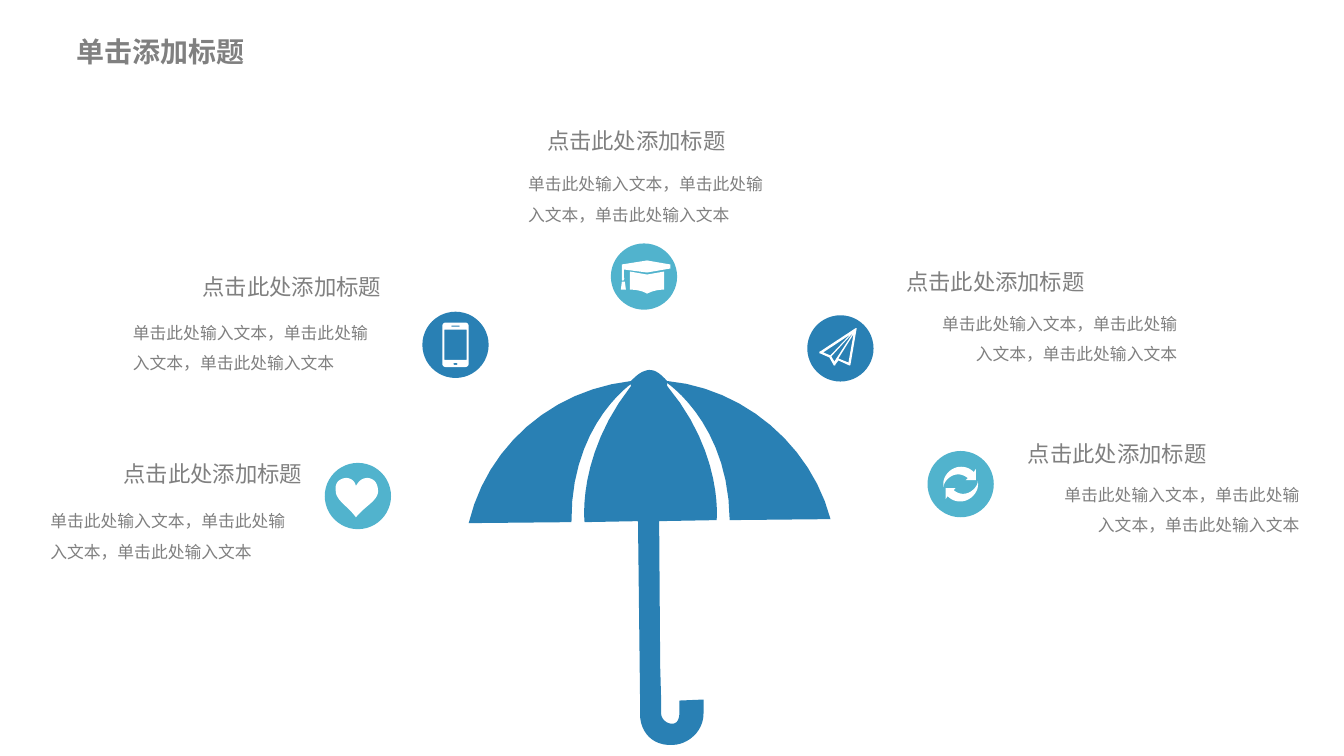
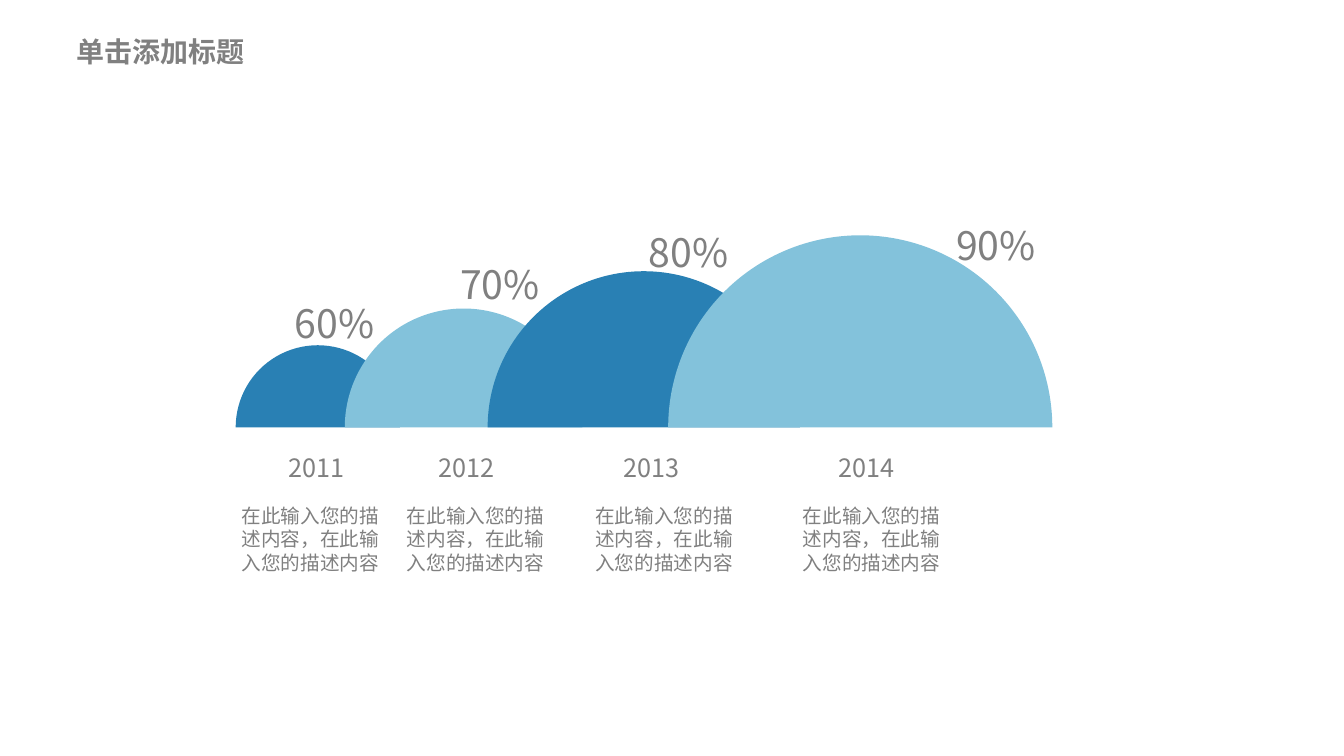
from dataclasses import dataclass

from lxml.etree import SubElement
from pptx import Presentation
from pptx.dml.color import RGBColor
from pptx.enum.shapes import MSO_SHAPE as Preset
from pptx.enum.text import MSO_AUTO_SIZE as AutoSize, PP_ALIGN as Align
from pptx.oxml.ns import qn
from pptx.shapes.autoshape import Shape
from pptx.slide import Slide
from pptx.util import Cm, Pt

# Shared look
COLORS = {"blue": "2980B4", "teal": "51B3CD", "sky": "83C2DB",
          "white": "FFFFFF", "gray": "808080"}
FONT = "Noto Sans CJK SC"
TITLE = "单击添加标题"
HEADING = "点击此处添加标题"
BODY = "单击此处输入文本，单击此处输入文本，单击此处输入文本"
NOTE = "在此输入您的描述内容，在此输入您的描述内容"

FONTS = {
    "title": {"size": Pt(20), "bold": True},
    "heading": {"size": Pt(16)},
    "body": {"size": Pt(12)},
    "year": {"size": Pt(18)},
    "percent": {"size": Pt(28)},
    "note": {"size": Pt(14)},
}
PARAGRAPHS = {
    "title": {"alignment": Align.LEFT},
    "heading": {"alignment": Align.RIGHT},
    "body": {"line_spacing": 1.5},
    "year": {"alignment": Align.CENTER},
    "percent": {"alignment": Align.CENTER},
    "note": {"alignment": Align.CENTER},
}
# Width and height in cm
BOXES = {"title": (8.38, 1.17), "heading": (5.03, 0.99), "body": (6.81, 1.78),
         "year": (2.44, 1.07), "percent": (2.54, 1.52), "note": (4.11, 2.08)}
UNWRAPPED = {"heading", "percent"}

# Outlines: M move, L line, C curve, Z close, in steps of GRID cm
GRID = 0.0254
CURVE_STEPS = 12
ICON_SIZE = 1.67
BASELINE = 10.77
HALF_TURN = 108  # 180 degrees in adjustment units

UMBRELLA = """
M 724 516 L 824 515 C 805 442 738 385 662 378 C 657 373 652 367 644 367
C 636 368 631 373 626 378 C 547 387 483 443 465 519 L 567 518
C 566 431 615 389 626 381 L 626 383 C 572 452 580 518 580 518 L 633 517
L 635 690 L 635 708 C 635 727 648 740 667 739 C 682 739 698 726 698 708
L 698 694 L 674 695 L 674 708 C 674 713 672 718 667 718
C 661 718 656 713 656 708 L 656 695 L 655 661 L 654 517 L 711 516
C 711 516 718 450 662 383 L 662 380 C 673 388 723 429 724 516 Z"""
HEART = """
M -2 -10 C -3 -15 -7 -18 -12 -18 C -20 -17 -23 -12 -22 -5
C -22 4 -10 10 -2 21 C 7 10 19 5 20 -4 C 20 -12 17 -17 10 -18
C 4 -18 1 -15 -2 -10 Z"""
REFRESH_ARROW = """
M 13 -12 C 6 -19 -5 -19 -12 -12 C -16 -8 -18 -3 -17 3
C -17 0 -15 -3 -13 -5 C -7 -11 1 -11 7 -6 L 5 -4 L 15 -4 L 15 -15 Z"""
GRADUATION_CAP = """
M 26 -12 L 3 -16 L -22 -12 L -22 1 C -22 3 -22 4 -21 4 C -20 4 -19 2 -20 1
L -20 -7 L 3 -4 L 26 -8 Z
M -19 5 L -22 5 L -23 13 L -18 13 Z
M -14 13 L -14 -5 L 3 -2 L 20 -5 L 20 13 C 14 13 9 14 3 17
C -2 14 -8 13 -14 13 Z"""
PHONE = """
M 10 -22 L -10 -22 C -11 -22 -13 -21 -13 -19 L -13 19 C -13 21 -11 22 -10 22
L 10 22 C 11 22 13 21 13 19 L 13 -19 C 13 -21 11 -22 10 -22 Z
M -4 -19 L 4 -19 L 4 -18 L -4 -18 Z
M 11 15 L -11 15 L -11 -15 L 11 -15 Z
M 0 20 C -1 20 -2 20 -2 19 C -2 18 -1 18 0 18 C 1 18 2 18 2 19
C 2 20 1 20 0 20 Z"""
PAPER_PLANE = """
M 16 -20 L 15 -20 L -20 3 C -21 3 -21 4 -21 4 C -21 5 -21 5 -20 5 L -11 9
L -7 16 C -7 17 -6 17 -6 17 C -5 17 -5 17 -5 16 L -2 12 L 9 17
C 9 17 10 17 10 16 L 16 -19 Z
M -17 4 L 10 -14 L -10 7 Z
M -9 8 L 13 -16 L -6 13 Z
M 8 14 L -2 10 L 13 -14 Z"""

Point = tuple[float, float]


@dataclass(frozen=True)
class Topic:
    center: Point
    color: str
    outline: str
    heading_at: Point
    body_at: Point
    align: Align = Align.LEFT
    mirrored: bool = False


@dataclass(frozen=True)
class YearShare:
    year: str
    percent: str
    color: str
    dome_left: float
    diameter: float
    percent_at: Point
    year_left: float
    note_left: float


TOPICS = [
    Topic((9.02, 12.5), "teal", HEART, (2.84, 11.48), (1.02, 12.5)),
    Topic((24.21, 12.2), "teal", REFRESH_ARROW, (25.63, 10.97),
          (26.19, 11.84), Align.RIGHT, mirrored=True),
    Topic((16.23, 6.97), "teal", GRADUATION_CAP, (13.51, 3.07), (13.06, 4.01)),
    Topic((11.48, 8.69), "blue", PHONE, (4.83, 6.76), (3.1, 7.75)),
    Topic((21.18, 8.78), "blue", PAPER_PLANE, (22.56, 6.63),
          (23.11, 7.52), Align.RIGHT),
]
YEARS = [
    YearShare("2011", "60%", "blue", 5.94, 4.14, (7.16, 7.42), 6.76, 5.77),
    YearShare("2012", "70%", "sky", 8.69, 5.99, (11.33, 6.43), 10.54, 9.93),
    YearShare("2013", "80%", "blue", 12.29, 7.87, (16.08, 5.64), 15.21, 14.68),
    YearShare("2014", "90%", "sky", 16.84, 9.68, (23.83, 5.44), 20.62, 19.91),
]


def paint(shape: Shape, color: str) -> None:
    shape.shadow.inherit = False
    shape.fill.solid()
    shape.fill.fore_color.rgb = RGBColor.from_string(COLORS[color])
    shape.line.fill.background()


def add_text(slide: Slide, role: str, text: str, at: Point,
             align: Align | None = None) -> None:
    frame = slide.shapes.add_textbox(
        *(Cm(length) for length in (*at, *BOXES[role]))).text_frame
    frame.word_wrap = role not in UNWRAPPED
    frame.auto_size = AutoSize.SHAPE_TO_FIT_TEXT
    paragraph = frame.paragraphs[0]
    run = paragraph.add_run()
    run.text = text
    for target, values in ((paragraph, PARAGRAPHS[role]),
                           (run.font, {"name": FONT, **FONTS[role]})):
        for name, value in values.items():
            setattr(target, name, value)
    if align is not None:
        paragraph.alignment = align
    run.font.color.rgb = RGBColor.from_string(COLORS["gray"])
    SubElement(run.font._element, qn("a:ea"), typeface=FONT)


def curve(start: Point, controls: list[Point]) -> list[Point]:
    """Points along a cubic curve, without its start."""
    points = []
    for step in range(1, CURVE_STEPS + 1):
        t = step / CURVE_STEPS
        weights = ((1 - t) ** 3, 3 * t * (1 - t) ** 2, 3 * t * t * (1 - t), t ** 3)
        x, y = (sum(w * p[axis] for w, p in zip(weights, (start, *controls)))
                for axis in (0, 1))
        points.append((x, y))
    return points


def contours(outline: str) -> list[list[Point]]:
    tokens = iter(outline.split())
    found: list[list[Point]] = []
    for command in tokens:
        if command == "Z":
            continue
        count = 3 if command == "C" else 1
        points = [(float(next(tokens)), float(next(tokens))) for _ in range(count)]
        if command == "M":
            found.append(points)
        else:
            found[-1] += curve(found[-1][-1], points) if command == "C" else points
    return found


def add_outline(slide: Slide, outline: str, color: str,
                origin: Point = (0, 0), turn: int = 1) -> None:
    builder = None
    for contour in contours(outline):
        first, *rest = [tuple(Cm(o + turn * GRID * v) for o, v in zip(origin, point))
                        for point in contour]
        if builder is None:
            builder = slide.shapes.build_freeform(*first)
        else:
            builder.move_to(*first)
        builder.add_line_segments(rest, close=True)
    paint(builder.convert_to_shape(), color)


def add_preset(slide: Slide, preset: Preset, at: Point, size: float,
               color: str) -> Shape:
    shape = slide.shapes.add_shape(preset, Cm(at[0]), Cm(at[1]), Cm(size), Cm(size))
    paint(shape, color)
    return shape


def add_topic(slide: Slide, topic: Topic) -> None:
    x, y = topic.center
    corner = (x - ICON_SIZE / 2, y - ICON_SIZE / 2)
    add_preset(slide, Preset.OVAL, corner, ICON_SIZE, topic.color)
    for turn in (1, -1) if topic.mirrored else (1,):
        add_outline(slide, topic.outline, "white", topic.center, turn)
    add_text(slide, "heading", HEADING, topic.heading_at)
    add_text(slide, "body", BODY, topic.body_at, topic.align)


def add_year(slide: Slide, share: YearShare) -> None:
    corner = (share.dome_left, BASELINE - share.diameter / 2)
    dome = add_preset(slide, Preset.ARC, corner, share.diameter, share.color)
    dome.adjustments[0] = HALF_TURN
    dome.adjustments[1] = 0
    add_text(slide, "year", share.year, (share.year_left, 11.28))
    add_text(slide, "percent", share.percent, share.percent_at)
    add_text(slide, "note", NOTE, (share.note_left, 12.57))


def add_titled_slide(deck: Presentation) -> Slide:
    slide = deck.slides.add_slide(deck.slide_layouts[6])
    add_text(slide, "title", TITLE, (1.68, 0.74))
    return slide


def main() -> None:
    deck = Presentation()
    deck.slide_width, deck.slide_height = Cm(33.87), Cm(19.05)

    # Umbrella with five topics
    umbrella_slide = add_titled_slide(deck)
    add_outline(umbrella_slide, UMBRELLA, "blue")
    for topic in TOPICS:
        add_topic(umbrella_slide, topic)

    # Growing domes by year
    years_slide = add_titled_slide(deck)
    for share in YEARS:
        add_year(years_slide, share)

    deck.save("out.pptx")


if __name__ == "__main__":
    main()
